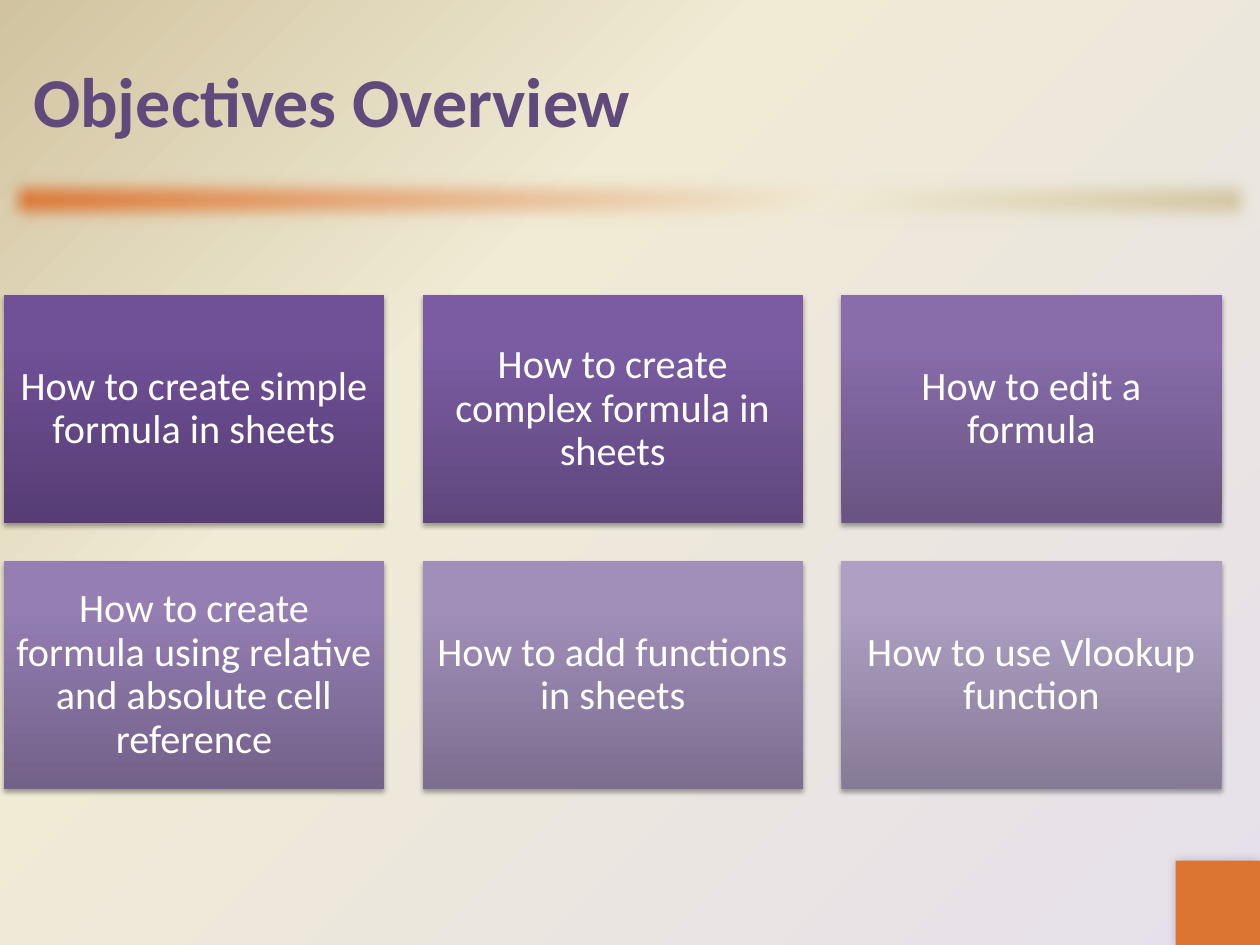
import dataclasses

import lxml.etree
import pptx
import pptx.dml.color
import pptx.enum.shapes
import pptx.enum.text
import pptx.oxml
import pptx.oxml.ns
import pptx.util

Cm = pptx.util.Cm
Pt = pptx.util.Pt
NS = pptx.oxml.ns.nsdecls("a")


@dataclasses.dataclass(frozen=True)
class Theme:
    font: str = "Calibri"
    title_size: int = 40
    tile_size: int = 23
    title: str = "604A7B"
    tile_text: str = "FFFFFF"
    accent: str = "DB7531"
    cream: str = "F0EBD5"
    sand: str = "D1C39F"
    lilac: str = "E6E0EC"


THEME = Theme()

TILES = [
    ("How to create simple formula in sheets", ("563D74", "705097", "704F99")),
    ("How to create complex formula in sheets", ("5F477D", "7B5CA3", "7C5BA5")),
    ("How to edit a formula", ("695483", "886DAA", "886DAC")),
    ("How to create formula using relative and absolute cell reference",
     ("726189", "947EB2", "957EB4")),
    ("How to add functions in sheets", ("7C6E8F", "A18FBA", "A18FBC")),
    ("How to use Vlookup function", ("867B96", "AE9FC3", "AE9FC4")),
]


def set_gradient(fill, element, stops, direction):
    fill.solid()
    old = next(element.iter(pptx.oxml.ns.qn("a:solidFill")))
    gs = "".join(
        f'<a:gs pos="{pos * 1000}"><a:srgbClr val="{color}"/></a:gs>'
        for pos, color in stops
    )
    grad = pptx.oxml.parse_xml(
        f'<a:gradFill {NS} rotWithShape="1"><a:gsLst>{gs}</a:gsLst>{direction}</a:gradFill>'
    )
    old.getparent().replace(old, grad)


def linear(angle):
    return f'<a:lin ang="{angle * 60000}" scaled="0"/>'


def add_effect(sp, xml):
    effects = sp._element.spPr.find(pptx.oxml.ns.qn("a:effectLst"))
    effects.append(pptx.oxml.parse_xml(xml))


def add_shadow(sp, alpha, blur, dist, angle):
    add_effect(sp, (
        f'<a:outerShdw {NS} blurRad="{Pt(blur)}" dist="{Pt(dist)}" '
        f'dir="{angle * 60000}" rotWithShape="0"><a:srgbClr val="000000">'
        f'<a:alpha val="{alpha * 1000}"/></a:srgbClr></a:outerShdw>'
    ))


def add_rect(s, left, top, width, height):
    sp = s.shapes.add_shape(
        pptx.enum.shapes.MSO_SHAPE.RECTANGLE, Cm(left), Cm(top), Cm(width), Cm(height)
    )
    sp.shadow.inherit = False
    sp.line.fill.background()
    return sp


def set_text(tf, text, size, color, bold=False):
    tf.word_wrap = True
    tf.vertical_anchor = pptx.enum.text.MSO_ANCHOR.MIDDLE
    p = tf.paragraphs[0]
    p.text = text
    p.font.name = THEME.font
    p.font.size = Pt(size)
    p.font.bold = bold
    p.font.color.rgb = pptx.dml.color.RGBColor.from_string(color)
    return p


def add_background(s):
    stops = [(0, THEME.lilac), (65, THEME.cream), (100, THEME.sand)]
    center = '<a:path path="circle"><a:fillToRect l="100000" t="100000"/></a:path>'
    set_gradient(s.background.fill, s._element.cSld, stops, center)


def add_divider(s):
    sp = add_rect(s, 0, 3.39, 25.4, 1.27)
    stops = [(0, THEME.accent), (65, THEME.cream), (100, THEME.sand)]
    set_gradient(sp.fill, sp._element.spPr, stops, linear(45))
    add_effect(sp, f'<a:softEdge {NS} rad="{Pt(10)}"/>')


def add_corner(s):
    sp = add_rect(s, 23.7, 17.35, 1.7, 1.7)
    sp.fill.solid()
    sp.fill.fore_color.rgb = pptx.dml.color.RGBColor.from_string(THEME.accent)
    add_shadow(sp, 20, 6, 0, 225)


def add_title(s, text):
    tb = s.shapes.add_textbox(Cm(0.42), Cm(0.42), Cm(24.56), Cm(3.18))
    set_text(tb.text_frame, text, THEME.title_size, THEME.title, bold=True)


def add_tile(s, left, top, text, colors):
    sp = add_rect(s, left, top, 7.67, 4.6)
    set_gradient(sp.fill, sp._element.spPr, zip((0, 80, 100), colors), linear(270))
    add_shadow(sp, 35, 3.1, 1.8, 90)
    tf = sp.text_frame
    tf.margin_left = tf.margin_right = tf.margin_top = tf.margin_bottom = Cm(0.25)
    p = set_text(tf, text, THEME.tile_size, THEME.tile_text)
    p.alignment = pptx.enum.text.PP_ALIGN.CENTER
    p.line_spacing = 0.9


def main():
    prs = pptx.Presentation()
    prs.slide_width, prs.slide_height = Cm(25.4), Cm(19.05)
    s = prs.slides.add_slide(prs.slide_layouts[6])
    add_background(s)
    add_divider(s)
    add_corner(s)
    add_title(s, "Objectives Overview")
    for i, (text, colors) in enumerate(TILES):
        row, col = divmod(i, 3)
        add_tile(s, 0.08 + col * 8.44, 5.95 + row * 5.36, text, colors)
    prs.save("out.pptx")


if __name__ == "__main__":
    main()
